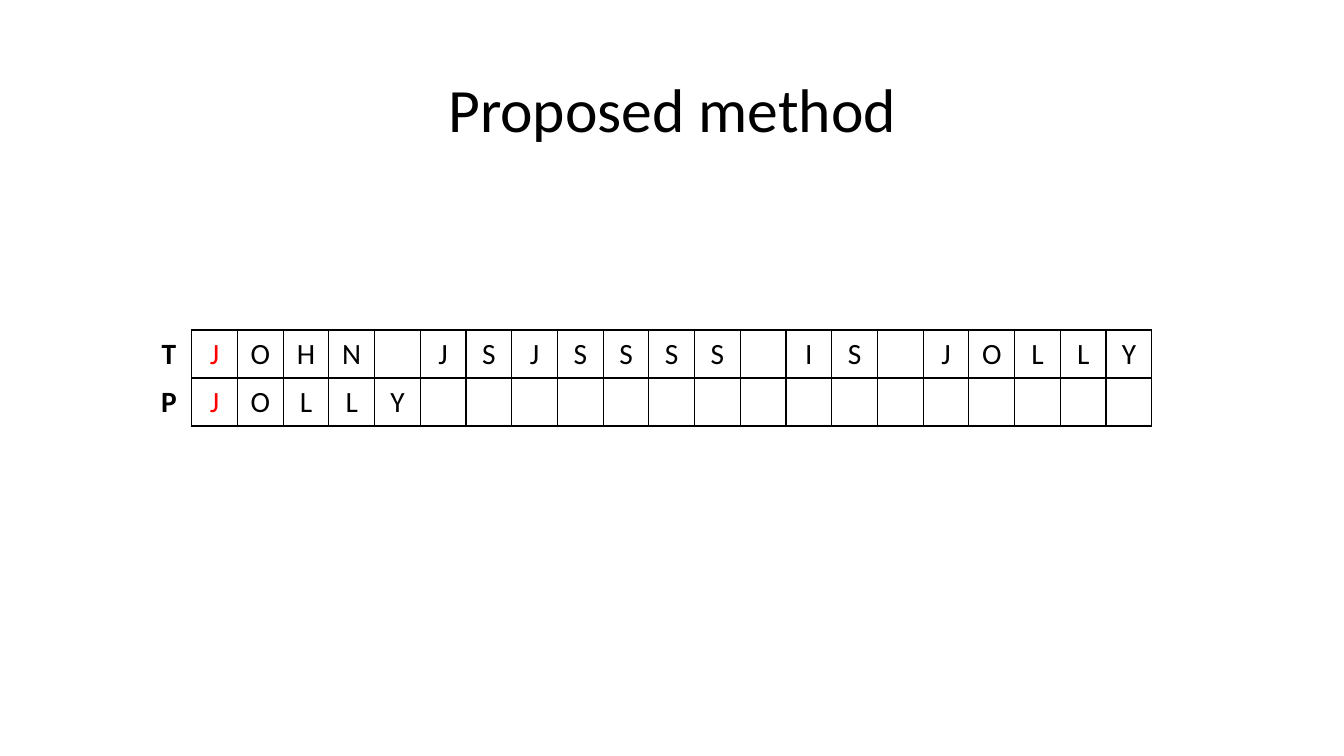
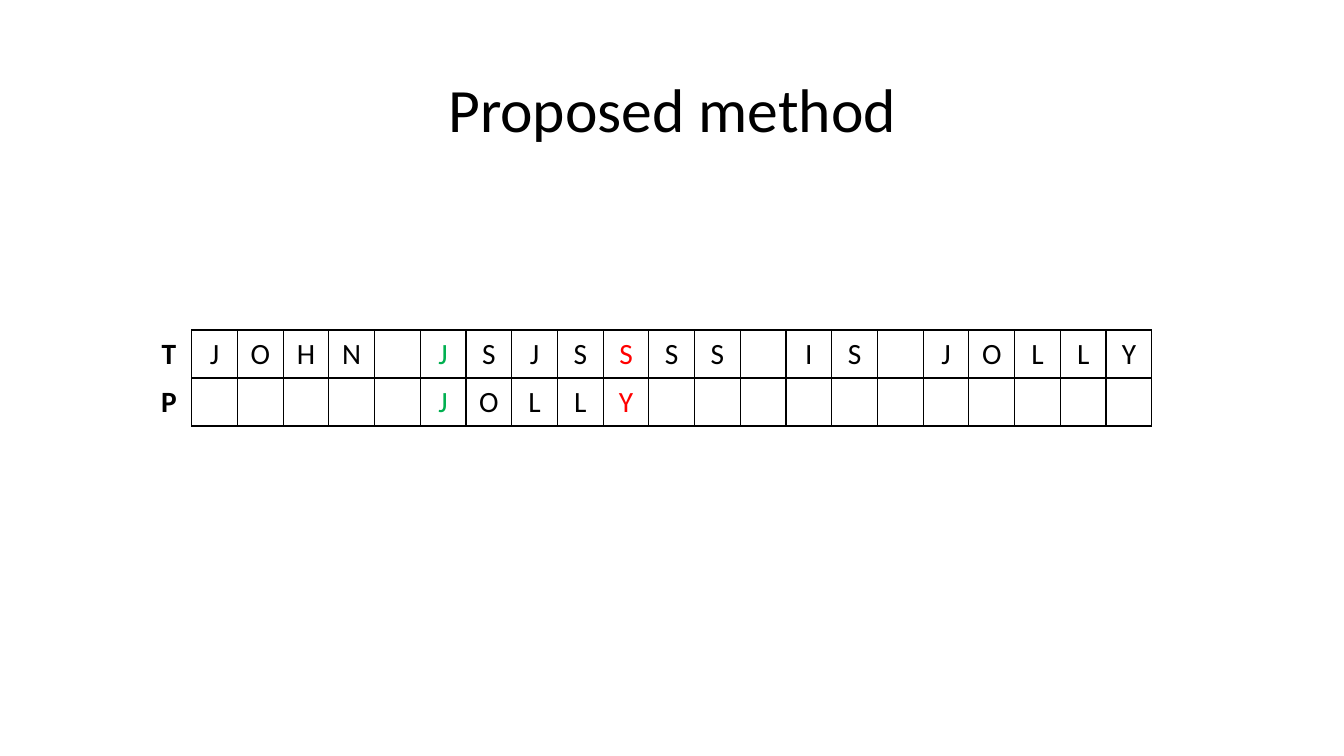
from lxml import etree
from pptx import Presentation
from pptx.dml.color import RGBColor
from pptx.enum.text import MSO_ANCHOR, PP_ALIGN
from pptx.oxml.ns import qn
from pptx.util import Emu, Pt

CENTER, MIDDLE = PP_ALIGN.CENTER, MSO_ANCHOR.MIDDLE
SCALE = 914400 / 100.8
FONT = "Calibri"
BLACK, RED, GREEN = "000000", "FF0000", "00B050"

TITLE = "Proposed method"
TEXT = "JOHN JSJSSSS IS JOLLY"
WORD = "JOLLY"
# Each step: shift of the word, colours by letter column
STEPS = [
    (0, {0: RED}),
    (5, {5: GREEN, 9: RED}),
]

TITLE_BOX = (93, 40, 1159, 146)
GRID_BOX = (146, 330, 1006, 96)
PAD_X, PAD_Y = 12, 6


def px(n):
    return Emu(round(n * SCALE))


def style(par, size, color=BLACK, bold=False):
    par.alignment = CENTER
    for run in par.runs:
        font = run.font
        font.name, font.size, font.bold = FONT, Pt(size), bold
        font.color.rgb = RGBColor.from_string(color)


def border(cell, sides):
    """Draw the named sides (of L, R, T, B) and clear the others."""
    props = cell._tc.get_or_add_tcPr()
    for i, side in enumerate("LRTB"):
        line = etree.Element(qn("a:ln" + side), w=str(Pt(1)))
        if side in sides:
            fill = etree.SubElement(line, qn("a:solidFill"))
            etree.SubElement(fill, qn("a:srgbClr"), val=BLACK)
        else:
            etree.SubElement(line, qn("a:noFill"))
        props.insert(i, line)


def add_title(slide):
    title = slide.shapes.title
    title.left, title.top, title.width, title.height = map(px, TITLE_BOX)
    frame = title.text_frame
    frame.text = TITLE
    frame.vertical_anchor = MIDDLE
    par = frame.paragraphs[0]
    par.line_spacing = 0.9
    style(par, 44)


def add_grid(slide, shift, marks):
    rows = ["T" + TEXT, "P" + (" " * shift + WORD).ljust(len(TEXT))]
    count = len(rows[0])
    frame = slide.shapes.add_table(len(rows), count, *map(px, GRID_BOX))
    table = frame.table
    table.first_row = table.horz_banding = False
    for col in table.columns:
        col.width = px(GRID_BOX[2] / count)
    for r, row in enumerate(rows):
        for c, char in enumerate(row):
            cell = table.cell(r, c)
            cell.margin_left = cell.margin_right = px(PAD_X)
            cell.margin_top = cell.margin_bottom = px(PAD_Y)
            cell.fill.background()
            border(cell, "LRTB" if c else "R")
            cell.text = char.strip()
            style(cell.text_frame.paragraphs[0], 21,
                  marks.get(c - 1, BLACK), c == 0)


def main():
    deck = Presentation()
    deck.slide_width, deck.slide_height = px(1344), px(756)
    for shift, marks in STEPS:
        slide = deck.slides.add_slide(deck.slide_layouts[5])
        add_title(slide)
        add_grid(slide, shift, marks)
    deck.save("out.pptx")


if __name__ == "__main__":
    main()
